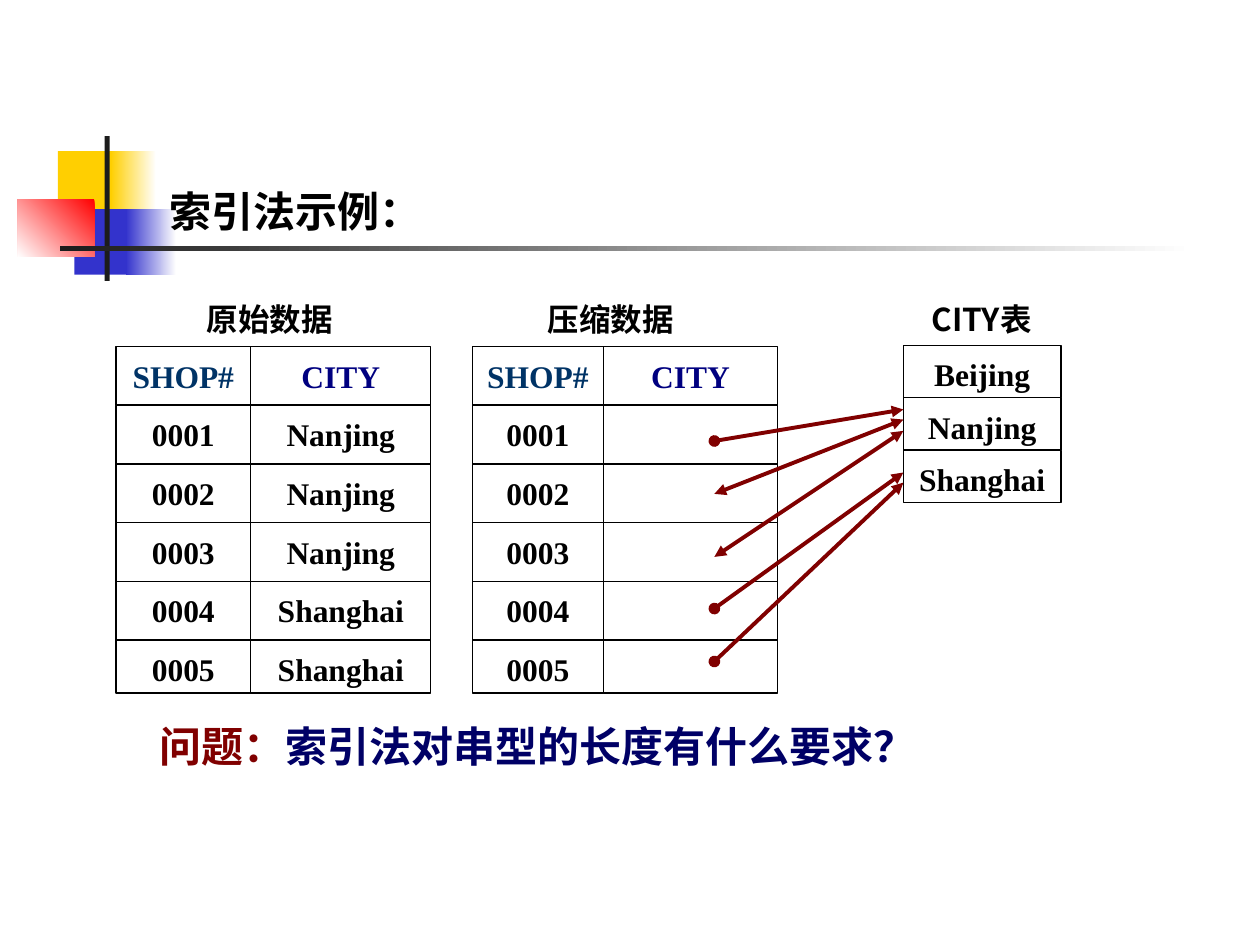
from dataclasses import dataclass

import pptx
import pptx.dml.color
import pptx.enum.shapes
import pptx.enum.text
import pptx.oxml.ns
import pptx.util
from lxml import etree
from pptx.util import Inches

RGB = pptx.dml.color.RGBColor.from_string
ALIGN = pptx.enum.text.PP_ALIGN
ANCHOR = pptx.enum.text.MSO_ANCHOR
qn = pptx.oxml.ns.qn


@dataclass(frozen=True)
class Theme:
    latin: str = "Times New Roman"
    chinese: str = "Noto Sans CJK SC"
    question_font: str = "Karla"
    black: str = "000000"
    white: str = "FFFFFF"
    yellow: str = "FFCF01"
    blue: str = "3333CC"
    red: str = "FF0000"
    charcoal: str = "1C1C1C"
    shop: str = "003366"
    city: str = "000080"
    maroon: str = "800000"
    question: str = "000066"
    title_size: float = 24
    body_size: float = 18
    border: float = 0.75
    arrow: float = 2.25


THEME = Theme()


@dataclass(frozen=True)
class Bar:
    left: float
    top: float
    width: float
    height: float
    start: str
    end: str = ""
    angle: float = 180


@dataclass(frozen=True)
class Run:
    text: str
    color: str = THEME.black
    size: float = THEME.body_size
    font: str = THEME.latin


@dataclass(frozen=True)
class Label:
    left: float
    top: float
    width: float
    height: float
    runs: tuple[Run, ...]
    align: ALIGN = ALIGN.CENTER
    anchor: ANCHOR = ANCHOR.TOP


@dataclass(frozen=True)
class Grid:
    left: float
    top: float
    widths: tuple[float, ...]
    heights: tuple[float, ...]
    rows: tuple[tuple[Run, ...], ...]


@dataclass(frozen=True)
class Pointer:
    start_y: float
    end_y: float
    head: str = "oval"


# Corner decoration and title rule
BARS = (
    Bar(0.46, 1.2, 0.48, 0.52, THEME.yellow),
    Bar(0.88, 1.2, 0.36, 0.52, THEME.white, THEME.yellow),
    Bar(0.59, 1.66, 0.46, 0.52, THEME.blue),
    Bar(1, 1.66, 0.4, 0.52, THEME.white, THEME.blue),
    Bar(0.14, 1.58, 0.61, 0.46, THEME.red, THEME.white, 225),
    Bar(0.83, 1.08, 0.04, 1.15, THEME.charcoal),
    Bar(0.48, 1.95, 9, 0.04, THEME.white, THEME.charcoal),
)

# Title, table headings and closing question
LABELS = (
    Label(1.25, 1.42, 2.25, 0.5, (Run("索引法示例：", size=THEME.title_size),),
          ALIGN.LEFT, ANCHOR.MIDDLE),
    Label(1.47, 2.33, 1.34, 0.32, (Run("原始数据"),)),
    Label(4.07, 2.33, 1.55, 0.32, (Run("压缩数据"),)),
    Label(7.08, 2.33, 1.42, 0.32, (Run("CITY表", font=THEME.chinese),)),
    Label(1.17, 5.67, 7.42, 0.5,
          (Run("问题：", THEME.maroon, THEME.title_size, THEME.question_font),
           Run("索引法对串型的长度有什么要求？", THEME.question,
               THEME.title_size, THEME.question_font)),
          ALIGN.LEFT, ANCHOR.MIDDLE),
)

# Original rows, their compressed form and the lookup entries
SHOPS = (("0001", "Nanjing"), ("0002", "Nanjing"), ("0003", "Nanjing"),
         ("0004", "Shanghai"), ("0005", "Shanghai"))
HEADER = (Run("SHOP#", THEME.shop), Run("CITY", THEME.city))
SHOP_HEIGHTS = (2.33 / 5,) * 5 + (0.42,)
GRIDS = (
    Grid(7.17, 2.74, (1.25,), (1.25 / 3,) * 3,
         tuple((Run(city),) for city in ("Beijing", "Nanjing", "Shanghai"))),
    Grid(0.92, 2.75, (1.07, 1.43), SHOP_HEIGHTS,
         (HEADER, *((Run(shop), Run(city)) for shop, city in SHOPS))),
    Grid(3.75, 2.75, (1.04, 1.38), SHOP_HEIGHTS,
         (HEADER, *((Run(shop), Run("")) for shop, _ in SHOPS))),
)

# Pointers from compressed rows to lookup entries
POINTER_LEFT, POINTER_RIGHT = 5.67, 7.17
POINTERS = (
    Pointer(3.5, 3.25),
    Pointer(3.92, 3.33, "triangle"),
    Pointer(4.42, 3.42, "triangle"),
    Pointer(4.83, 3.75),
    Pointer(5.25, 3.83),
)


def write_runs(paragraph, runs: tuple[Run, ...], align: ALIGN) -> None:
    paragraph.alignment = align
    for part in runs:
        run = paragraph.add_run()
        run.text = part.text
        run.font.name = part.font
        run.font.size = pptx.util.Pt(part.size)
        run.font.bold = True
        run.font.color.rgb = RGB(part.color)
        latin = run.font._element.find(qn("a:latin"))
        latin.addnext(etree.Element(qn("a:ea"), typeface=THEME.chinese))


def add_rectangle(slide, left: float, top: float, width: float, height: float):
    shape = slide.shapes.add_shape(
        pptx.enum.shapes.MSO_SHAPE.RECTANGLE, Inches(left), Inches(top),
        Inches(width), Inches(height))
    shape.shadow.inherit = False
    return shape


def draw_bar(slide, bar: Bar) -> None:
    shape = add_rectangle(slide, bar.left, bar.top, bar.width, bar.height)
    shape.line.fill.background()
    if not bar.end:
        shape.fill.solid()
        shape.fill.fore_color.rgb = RGB(bar.start)
        return
    shape.fill.gradient()
    shape.fill.gradient_angle = bar.angle
    for stop, color in zip(shape.fill.gradient_stops, (bar.start, bar.end)):
        stop.color.rgb = RGB(color)


def draw_label(slide, label: Label) -> None:
    box = slide.shapes.add_textbox(Inches(label.left), Inches(label.top),
                                   Inches(label.width), Inches(label.height))
    frame = box.text_frame
    frame.word_wrap = True
    frame.vertical_anchor = label.anchor
    write_runs(frame.paragraphs[0], label.runs, label.align)


def draw_cell(slide, left: float, top: float, width: float, height: float,
              run: Run) -> None:
    cell = add_rectangle(slide, left, top, width, height)
    cell.fill.background()
    cell.line.color.rgb = RGB(THEME.black)
    cell.line.width = pptx.util.Pt(THEME.border)
    if run.text:
        frame = cell.text_frame
        frame.word_wrap = True
        frame.vertical_anchor = ANCHOR.TOP
        frame.margin_top, frame.margin_bottom = Inches(0.08), Inches(0.02)
        write_runs(frame.paragraphs[0], (run,), ALIGN.CENTER)


def draw_grid(slide, grid: Grid) -> None:
    for row, (height, runs) in enumerate(zip(grid.heights, grid.rows)):
        top = grid.top + sum(grid.heights[:row])
        for column, (width, run) in enumerate(zip(grid.widths, runs)):
            left = grid.left + sum(grid.widths[:column])
            draw_cell(slide, left, top, width, height, run)


def draw_pointer(slide, pointer: Pointer) -> None:
    connector = slide.shapes.add_connector(
        pptx.enum.shapes.MSO_CONNECTOR.STRAIGHT,
        Inches(POINTER_LEFT), Inches(pointer.start_y),
        Inches(POINTER_RIGHT), Inches(pointer.end_y))
    connector.line.color.rgb = RGB(THEME.maroon)
    connector.line.width = pptx.util.Pt(THEME.arrow)
    line = connector.line._get_or_add_ln()
    etree.SubElement(line, qn("a:headEnd"), type=pointer.head)
    etree.SubElement(line, qn("a:tailEnd"), type="triangle")
    etree.SubElement(connector._element.spPr, qn("a:effectLst"))


def main() -> None:
    deck = pptx.Presentation()
    deck.slide_width, deck.slide_height = Inches(10), Inches(7.5)
    slide = deck.slides.add_slide(deck.slide_layouts[6])
    for draw, items in ((draw_bar, BARS), (draw_label, LABELS),
                        (draw_grid, GRIDS), (draw_pointer, POINTERS)):
        for item in items:
            draw(slide, item)
    deck.save("out.pptx")


if __name__ == "__main__":
    main()
